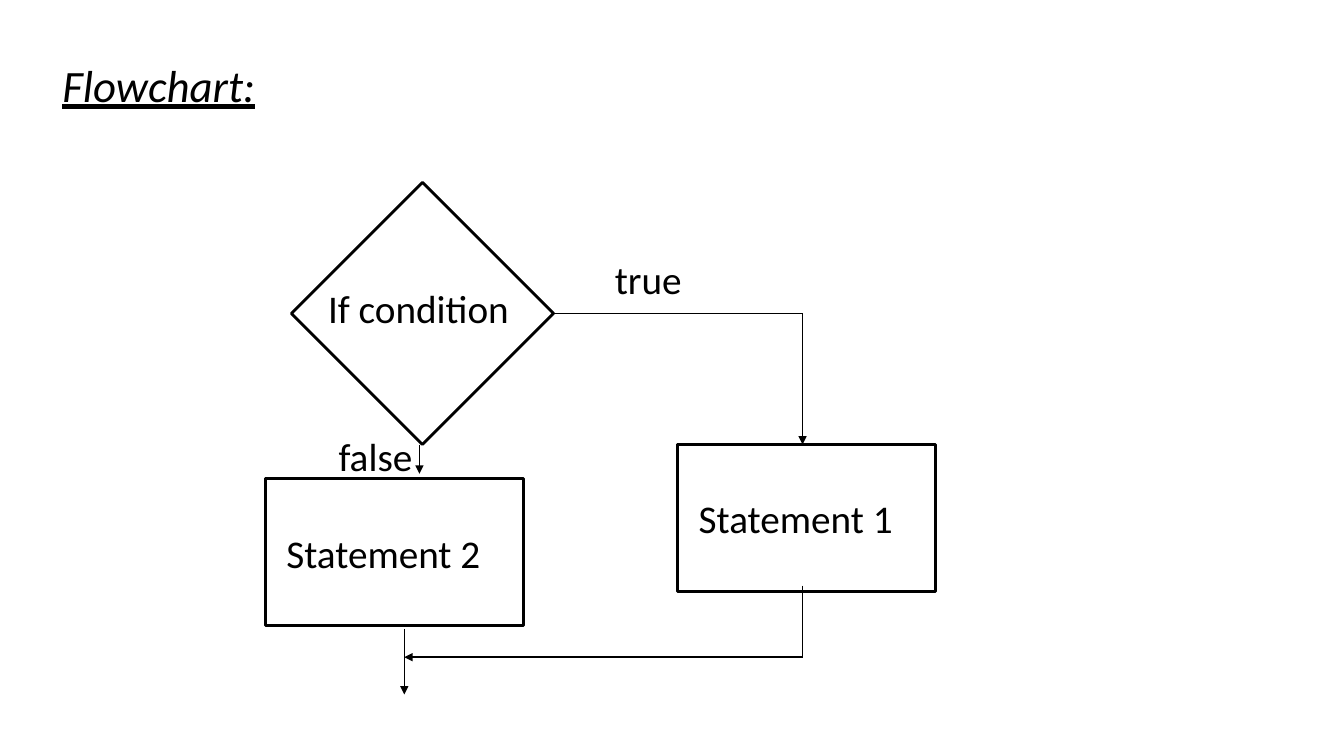
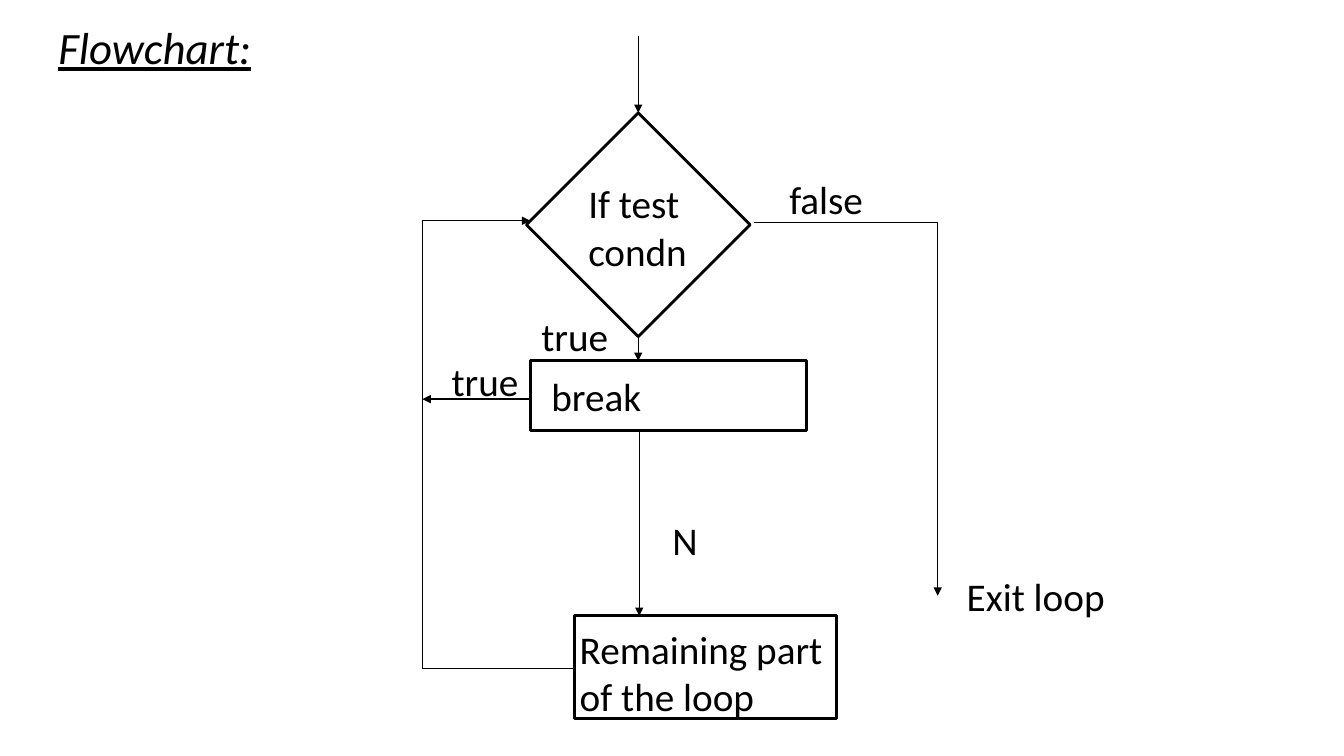
from lxml.etree import SubElement
from pptx import Presentation
from pptx.dml.color import RGBColor
from pptx.enum.shapes import MSO_CONNECTOR, MSO_SHAPE
from pptx.enum.text import MSO_ANCHOR, PP_ALIGN
from pptx.oxml.ns import qn
from pptx.util import Inches, Pt

COLORS = {"background": "FFFFFF", "ink": "000000"}
FONT = "Calibri"
TITLE_SIZE, TEXT_SIZE = 32, 28
OUTLINE_WIDTH, LINE_WIDTH = 2, 1
BOX_INSETS = (0.21, 0, 0, 0)


def color(name):
    return RGBColor.from_string(COLORS[name])


class Flowchart:
    """Holds the presentation, the current slide and the shared style."""

    def __init__(self):
        self.presentation = Presentation()
        self.presentation.slide_width = Inches(13.33)
        self.presentation.slide_height = Inches(7.5)
        self.slide = None

    def add_slide(self, title_left, title_top):
        layout = self.presentation.slide_layouts[6]
        self.slide = self.presentation.slides.add_slide(layout)
        fill = self.slide.background.fill
        fill.solid()
        fill.fore_color.rgb = color("background")
        self.label("Flowchart:", title_left, title_top, 4.24, 0.64, TITLE_SIZE, title=True)

    def set_text(self, frame, text, size=TEXT_SIZE, title=False, align=PP_ALIGN.LEFT):
        frame.text = text
        for paragraph in frame.paragraphs:
            paragraph.alignment = align
            for run in paragraph.runs:
                run.font.name = FONT
                run.font.size = Pt(size)
                run.font.color.rgb = color("ink")
                if title:
                    run.font.italic = run.font.underline = True

    def label(self, text, left, top, width, height=0.57, size=TEXT_SIZE, title=False):
        shape = self.slide.shapes.add_textbox(*map(Inches, (left, top, width, height)))
        shape.text_frame.word_wrap = True
        self.set_text(shape.text_frame, text, size, title)

    def node(self, kind, text, bounds, insets=BOX_INSETS, wrap=True, align=PP_ALIGN.LEFT):
        """Outlined shape; insets run left, top, right, bottom."""
        shape = self.slide.shapes.add_shape(kind, *map(Inches, bounds))
        shape.shadow.inherit = False
        shape.fill.background()
        shape.line.color.rgb = color("ink")
        shape.line.width = Pt(OUTLINE_WIDTH)
        frame = shape.text_frame
        frame.margin_left, frame.margin_top, frame.margin_right, frame.margin_bottom = map(
            Inches, insets)
        frame.vertical_anchor = MSO_ANCHOR.MIDDLE
        frame.word_wrap = wrap
        self.set_text(frame, text, align=align)

    def box(self, text, *bounds, insets=BOX_INSETS):
        self.node(MSO_SHAPE.RECTANGLE, text, bounds, insets)

    def decision(self, text, left, top, size, insets, **layout):
        self.node(MSO_SHAPE.DIAMOND, text, (left, top, size, size), insets, **layout)

    def route(self, *points):
        """Straight lines through the points, with an arrowhead at the last."""
        for start, end in zip(points, points[1:]):
            line = self.slide.shapes.add_connector(
                MSO_CONNECTOR.STRAIGHT, *map(Inches, start + end))
            line.line.color.rgb = color("ink")
            line.line.width = Pt(LINE_WIDTH)
            properties = line._element.spPr
            if end == points[-1]:
                outline = properties.find(qn("a:ln"))
                SubElement(outline, qn("a:tailEnd"), type="triangle")
            SubElement(properties, qn("a:effectLst"))


def if_else_slide(chart):
    chart.add_slide(0.52, 0.52)
    chart.decision("If condition", 2.89, 1.81, 2.6, (0, 0, 0.08, 0.12),
                   wrap=False, align=PP_ALIGN.CENTER)
    chart.box("Statement 1", 6.72, 4.41, 2.56, 1.46)
    chart.box("Statement 2", 2.63, 4.75, 2.56, 1.46)
    chart.label("true", 6, 2.48, 1.92)
    chart.label("false", 3.26, 4.24, 1.92)
    chart.route((5.49, 3.11), (7.96, 3.11), (7.96, 4.41))
    chart.route((4.16, 4.41), (4.16, 4.7))
    chart.route((7.96, 5.81), (7.96, 6.52), (4.01, 6.52))
    chart.route((4.01, 6.24), (4.01, 6.89))


def break_slide(chart):
    chart.add_slide(0.48, 0.15)
    chart.decision("If test condn", 5.22, 1.12, 2.22, (0.06, 0.04, 0, 0))
    chart.box("break", 5.26, 3.58, 2.74, 0.69)
    chart.box("Remaining part of the loop", 5.7, 6.11, 2.6, 1.02, insets=(0.05, 0.1, 0, 0))
    chart.label("true", 5.27, 3.05, 0.92)
    chart.label("true", 4.38, 3.5, 0.92)
    chart.label("false", 7.73, 1.69, 1.06)
    chart.label("N", 6.57, 5.07, 1.06)
    chart.label("Exit loop", 9.49, 5.63, 1.67)
    chart.route((6.33, 0.36), (6.33, 1.12))
    chart.route((6.33, 3.33), (6.33, 3.58))
    chart.route((6.34, 4.27), (6.34, 6.11))
    chart.route((7.48, 2.21), (9.3, 2.21), (9.3, 5.91))
    chart.route((5.26, 3.96), (4.19, 3.96))
    chart.route((5.7, 6.63), (4.19, 6.63), (4.19, 2.19), (5.26, 2.19))


def main():
    chart = Flowchart()
    if_else_slide(chart)
    break_slide(chart)
    chart.presentation.save("out.pptx")


if __name__ == "__main__":
    main()
